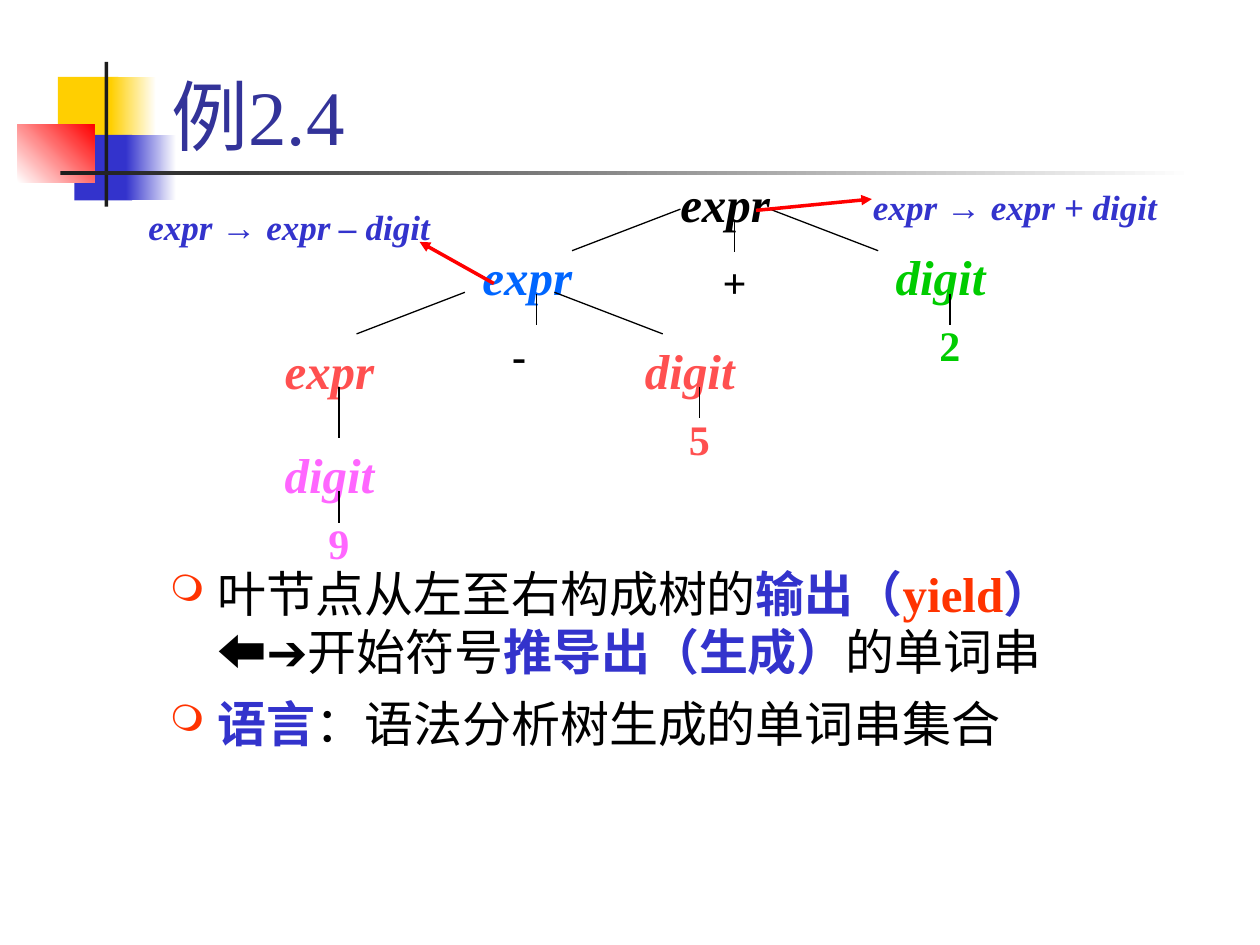
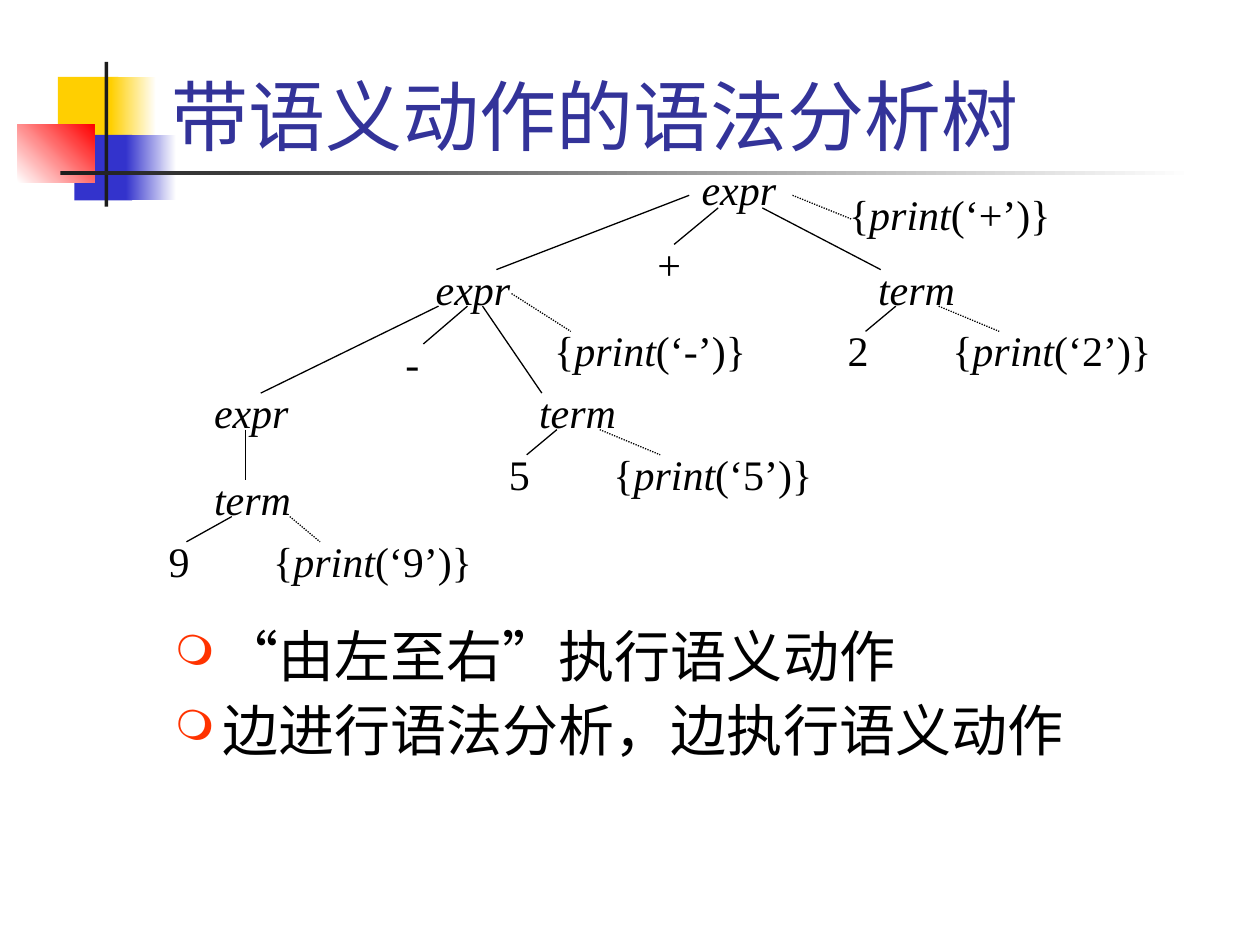
from dataclasses import dataclass

from lxml.etree import SubElement
from pptx import Presentation
from pptx.dml.color import RGBColor
from pptx.enum.dml import MSO_LINE
from pptx.enum.shapes import MSO_CONNECTOR, MSO_SHAPE
from pptx.enum.text import MSO_ANCHOR, MSO_AUTO_SIZE, PP_ALIGN
from pptx.oxml.ns import qn
from pptx.slide import Slide, SlideLayout
from pptx.text.text import _Paragraph as Paragraph
from pptx.util import Inches, Pt


@dataclass(frozen=True)
class Theme:
    black: str = "000000"
    white: str = "FFFFFF"
    ink: str = "1C1C1C"
    title: str = "333399"
    blue: str = "3333CC"
    yellow: str = "FFCF01"
    red: str = "FF0000"
    accent: str = "FF3300"
    sky: str = "0066FF"
    green: str = "00CC00"
    coral: str = "FF5050"
    pink: str = "FF66FF"
    serif: str = "Times New Roman"
    sans: str = "Arial"
    title_size: int = 44
    large_body_size: int = 32
    body_size: int = 28
    symbol_size: int = 24
    rule_size: int = 20
    thin_line: float = 0.75
    arrow_line: float = 2


THEME = Theme()


@dataclass(frozen=True)
class Band:
    left: float
    top: float
    width: float
    height: float
    start: str
    end: str = ""
    angle: int = 0


@dataclass(frozen=True)
class Piece:
    text: str
    color: str = THEME.black
    bold: bool = False
    italic: bool = False
    font: str = THEME.serif
    break_after: bool = False


@dataclass(frozen=True)
class Label:
    left: float
    top: float
    width: float
    height: float
    pieces: tuple[Piece, ...]
    size: int = THEME.symbol_size
    centered: bool = False


@dataclass(frozen=True)
class Edge:
    start_x: float
    start_y: float
    end_x: float
    end_y: float
    color: str = THEME.black
    width: float = THEME.thin_line
    dotted: bool = False
    arrow: bool = False


@dataclass(frozen=True)
class Node:
    left: float
    top: float
    text: str
    color: str = THEME.black
    stem_length: float = 0.25
    leaf: str = ""


@dataclass(frozen=True)
class Term:
    left: float
    top: float
    digit: str
    inset: float = 0


BANDS = (
    Band(0.46, 0.61, 0.48, 0.52, THEME.yellow),
    Band(0.88, 0.61, 0.36, 0.52, THEME.yellow, THEME.white),
    Band(0.59, 1.07, 0.46, 0.52, THEME.blue),
    Band(1.0, 1.07, 0.4, 0.52, THEME.blue, THEME.white),
    Band(0.14, 0.99, 0.61, 0.46, THEME.white, THEME.red, 45),
    Band(0.83, 0.49, 0.03, 1.15, THEME.ink),
    Band(0.48, 1.36, 9, 0.03, THEME.ink, THEME.white),
)

DERIVATION_NODES = (
    Node(4.97, 1.33, "expr"),
    Node(6.68, 1.91, "digit", THEME.green, leaf="2"),
    Node(4.69, 2.65, "digit", THEME.coral, leaf="5"),
    Node(3.4, 1.91, "expr", THEME.sky),
    Node(1.83, 3.48, "digit", THEME.pink, leaf="9"),
    Node(1.83, 2.65, "expr", THEME.coral, stem_length=0.41),
)
DERIVATION_OPERATORS = ((3.69, 2.57, "-"), (5.4, 1.99, "+"))
DERIVATION_EDGES = (
    Edge(5.4, 1.66, 4.54, 1.99),
    Edge(6.97, 1.99, 6.11, 1.66),
    Edge(3.69, 2.32, 2.83, 2.65),
    Edge(5.26, 2.65, 4.4, 2.32),
    Edge(6, 1.67, 6.92, 1.58, THEME.red, THEME.arrow_line, arrow=True),
    Edge(3.92, 2.25, 3.33, 1.92, THEME.red, THEME.arrow_line, arrow=True),
)
PRODUCTIONS = ((6.83, 1.42, 2.58, "expr + digit"), (1.08, 1.58, 2.67, "expr – digit"))

DERIVATION_POINTS = (
    (
        Piece("叶节点从左至右构成树的"),
        Piece("输出（", THEME.blue, True),
        Piece("yield", THEME.accent, True),
        Piece("）", THEME.blue, True, break_after=True),
        Piece("⬅➔", font=THEME.sans),
        Piece("开始符号"),
        Piece("推导出（生成）", THEME.blue, True),
        Piece("的单词串"),
    ),
    (Piece("语言", THEME.blue, True), Piece("：语法分析树生成的单词串集合")),
)

ACTION_TERMS = (Term(1.6, 3.71, "9", 0.12), Term(6.87, 2.04, "2"), Term(4.18, 3.02, "5"))
ACTION_EXPRESSIONS = ((1.6, 3.02), (3.36, 2.04), (5.47, 1.25))
ACTION_OPERATORS = ((3.12, 2.63, "-"), (5.12, 1.84, "+"))
ACTION_PRINTS = ((4.3, 2.53, "-"), (6.64, 1.45, "+"))
ACTION_EDGES = (
    Edge(3.71, 2.43, 3.36, 2.73),
    Edge(1.95, 3.41, 1.95, 3.81),
    Edge(3.48, 2.43, 2.07, 3.12),
    Edge(3.83, 2.43, 4.3, 3.12),
    Edge(5.7, 1.65, 5.35, 1.94),
    Edge(6.05, 1.65, 6.99, 2.14),
    Edge(5.47, 1.55, 3.94, 2.14),
    Edge(4.06, 2.33, 4.53, 2.63, dotted=True),
    Edge(6.29, 1.55, 6.76, 1.74, dotted=True),
)
ACTION_POINTS = (
    (Piece("“由左至右”执行语义动作"),),
    (Piece("边进行语法分析，边执行语义动作"),),
)


def write_pieces(paragraph: Paragraph, pieces: tuple[Piece, ...], size: int) -> None:
    for piece in pieces:
        run = paragraph.add_run()
        run.text = piece.text
        run.font.name = piece.font
        run.font.size = Pt(size)
        run.font.bold = piece.bold
        run.font.italic = piece.italic
        run.font.color.rgb = RGBColor.from_string(piece.color)
        if piece.break_after:
            paragraph.add_line_break()


def draw_label(slide: Slide, label: Label) -> None:
    shape = slide.shapes.add_textbox(
        Inches(label.left), Inches(label.top), Inches(label.width), Inches(label.height)
    )
    shape.text_frame.word_wrap = True
    paragraph = shape.text_frame.paragraphs[0]
    paragraph.alignment = PP_ALIGN.CENTER if label.centered else PP_ALIGN.LEFT
    write_pieces(paragraph, label.pieces, label.size)


def draw_edge(slide: Slide, edge: Edge) -> None:
    connector = slide.shapes.add_connector(
        MSO_CONNECTOR.STRAIGHT,
        Inches(edge.start_x), Inches(edge.start_y), Inches(edge.end_x), Inches(edge.end_y),
    )
    connector.line.color.rgb = RGBColor.from_string(edge.color)
    connector.line.width = Pt(edge.width)
    if edge.dotted:
        connector.line.dash_style = MSO_LINE.ROUND_DOT
    if edge.arrow:
        SubElement(connector.line._get_or_add_ln(), qn("a:tailEnd"), type="triangle")
    SubElement(connector.element.spPr, qn("a:effectLst"))


def add_bands_to_layout(slide: Slide, layout: SlideLayout) -> None:
    for index, band in enumerate(BANDS):
        shape = slide.shapes.add_shape(
            MSO_SHAPE.RECTANGLE,
            Inches(band.left), Inches(band.top), Inches(band.width), Inches(band.height),
        )
        shape.shadow.inherit = False
        shape.line.fill.background()
        if band.end:
            shape.fill.gradient()
            shape.fill.gradient_angle = band.angle
            for stop, color in zip(shape.fill.gradient_stops, (band.start, band.end)):
                stop.color.rgb = RGBColor.from_string(color)
        else:
            shape.fill.solid()
            shape.fill.fore_color.rgb = RGBColor.from_string(band.start)
        shape.element.nvSpPr.cNvPr.id = 100 + index
        layout.shapes.element.append(shape.element)


def write_title(slide: Slide, text: str) -> None:
    title = slide.shapes.title
    title.left, title.top = Inches(1.26), Inches(0.08)
    title.width, title.height = Inches(8.52), Inches(1.25)
    text_frame = title.text_frame
    text_frame.text = text
    text_frame.auto_size = MSO_AUTO_SIZE.NONE
    text_frame.vertical_anchor = MSO_ANCHOR.BOTTOM
    paragraph = text_frame.paragraphs[0]
    paragraph.alignment = PP_ALIGN.LEFT
    font = paragraph.runs[0].font
    font.name = THEME.serif
    font.size = Pt(THEME.title_size)
    font.color.rgb = RGBColor.from_string(THEME.title)


def draw_bullets(slide: Slide, left: float, top: float, height: float,
                 points: tuple[tuple[Piece, ...], ...], size: int,
                 space_before: int, line_spacing: float) -> None:
    shape = slide.shapes.add_textbox(Inches(left), Inches(top), Inches(8.5), Inches(height))
    text_frame = shape.text_frame
    text_frame.word_wrap = True
    for index, pieces in enumerate(points):
        paragraph = text_frame.add_paragraph() if index else text_frame.paragraphs[0]
        properties = paragraph._p.get_or_add_pPr()
        properties.set("marL", str(Inches(0.38)))
        properties.set("indent", str(-Inches(0.38)))
        color = SubElement(properties, qn("a:buClr"))
        SubElement(color, qn("a:srgbClr"), val=THEME.accent)
        SubElement(properties, qn("a:buSzPct"), val="75000")
        SubElement(properties, qn("a:buChar"), char="❍")
        paragraph.line_spacing = line_spacing
        if index:
            paragraph.space_before = Pt(space_before)
        write_pieces(paragraph, pieces, size)


def build_derivation(slide: Slide) -> None:
    write_title(slide, "例2.4")
    draw_bullets(slide, 1.25, 4.42, 1.92, DERIVATION_POINTS, THEME.body_size, 7, 1.0)
    symbols = [(left, top, text, THEME.black) for left, top, text in DERIVATION_OPERATORS]
    for node in DERIVATION_NODES:
        piece = Piece(node.text, node.color, True, True)
        draw_label(slide, Label(node.left, node.top, 1.57, 0.57, (piece,), THEME.body_size, True))
        stem_x, stem_y = node.left + 0.86, node.top + 0.42
        draw_edge(slide, Edge(stem_x, stem_y, stem_x, stem_y + node.stem_length))
        if node.leaf:
            symbols.append((node.left + 0.43, node.top + 0.58, node.leaf, node.color))
    for left, top, text, color in symbols:
        draw_label(slide, Label(left, top, 0.86, 0.5, (Piece(text, color, True),), centered=True))
    for left, top, width, right_side in PRODUCTIONS:
        pieces = (
            Piece("expr ", THEME.blue, True, True),
            Piece("→ ", THEME.blue, True, font=THEME.sans),
            Piece(right_side, THEME.blue, True, True),
        )
        draw_label(slide, Label(left, top, width, 0.44, pieces, THEME.rule_size))
    for edge in DERIVATION_EDGES:
        draw_edge(slide, edge)


def build_actions(slide: Slide) -> None:
    write_title(slide, "带语义动作的语法分析树")
    draw_bullets(slide, 1.29, 4.94, 1.25, ACTION_POINTS, THEME.large_body_size, 8, 0.9)
    names = [(left, top, "expr") for left, top in ACTION_EXPRESSIONS]
    symbols = list(ACTION_OPERATORS)
    prints = list(ACTION_PRINTS)
    edges = list(ACTION_EDGES)
    for term in ACTION_TERMS:
        left, top, inset = term.left, term.top, term.inset
        names.append((left, top, "term"))
        symbols.append((left - 0.24 - inset, top + 0.49, term.digit))
        prints.append((left + 0.59 - inset, top + 0.49, term.digit))
        edges.append(Edge(left + 0.24, top + 0.39, left - inset, top + 0.59))
        edges.append(Edge(left + 0.58 + inset, top + 0.39,
                          left + 1.06 - inset, top + 0.59, dotted=True))
    for left, top, text in names:
        draw_label(slide, Label(left, top, 1.52, 0.5, (Piece(text, italic=True),)))
    for left, top, text in symbols:
        draw_label(slide, Label(left, top, 0.7, 0.5, (Piece(text),)))
    for left, top, text in prints:
        pieces = (Piece("{"), Piece("print", italic=True), Piece(f"(‘{text}’)}}"))
        draw_label(slide, Label(left, top, 1.87, 0.5, pieces))
    for edge in edges:
        draw_edge(slide, edge)


def main() -> None:
    presentation = Presentation()
    presentation.slide_width, presentation.slide_height = Inches(10), Inches(7.5)
    layout = presentation.slide_layouts.get_by_name("Title Only")
    derivation_slide = presentation.slides.add_slide(layout)
    add_bands_to_layout(derivation_slide, layout)
    build_derivation(derivation_slide)
    build_actions(presentation.slides.add_slide(layout))
    presentation.save("out.pptx")


if __name__ == "__main__":
    main()
